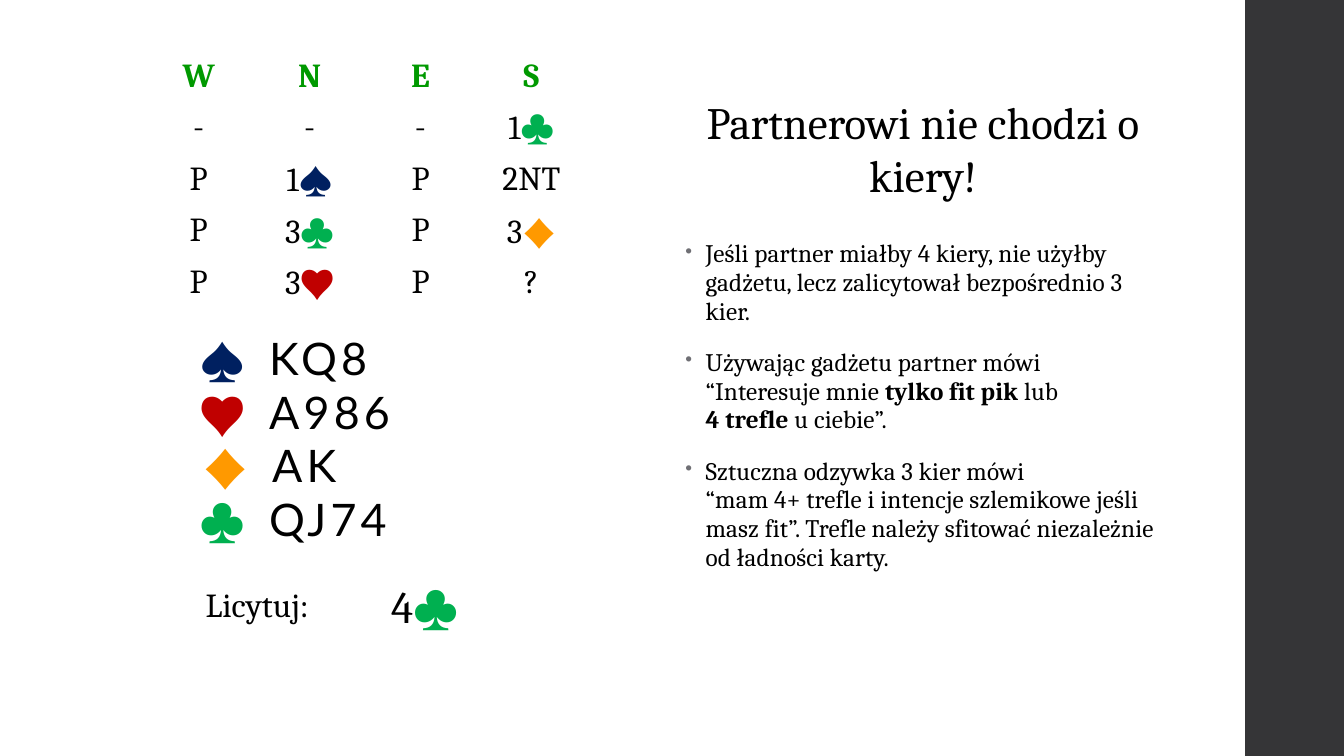
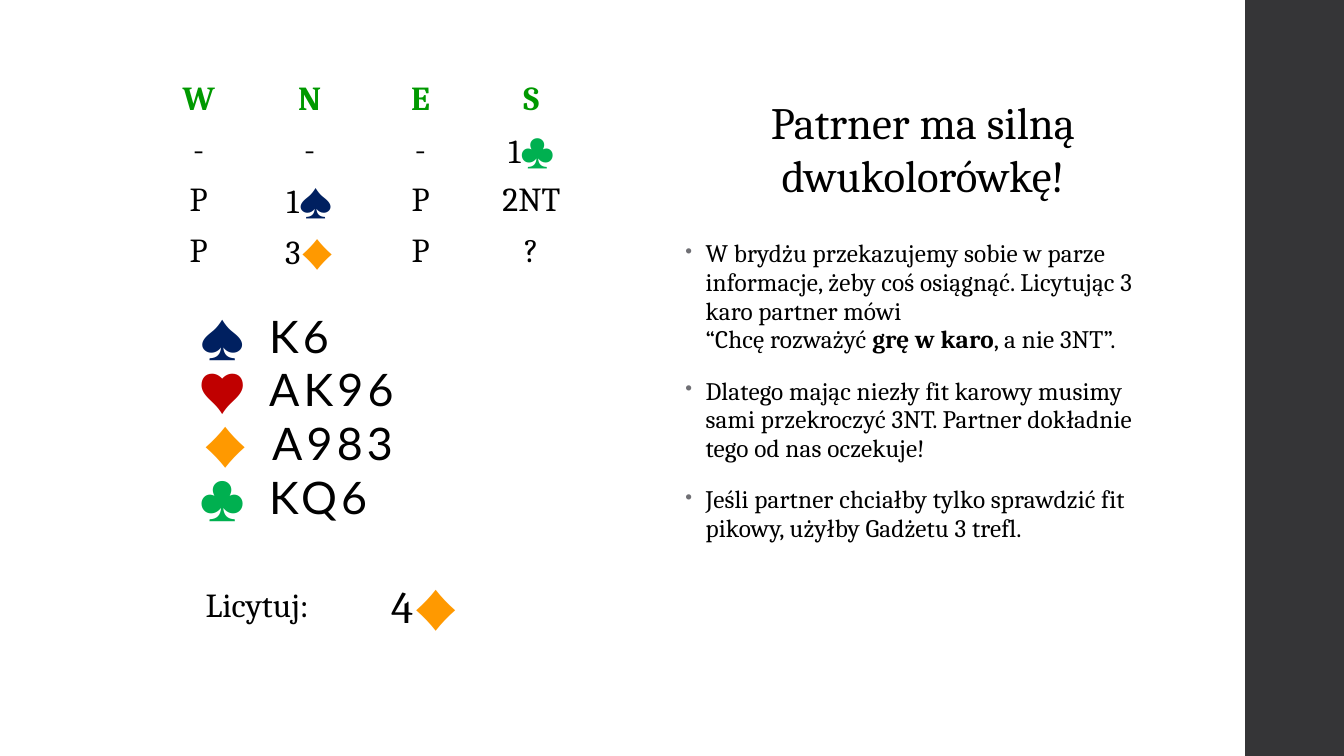
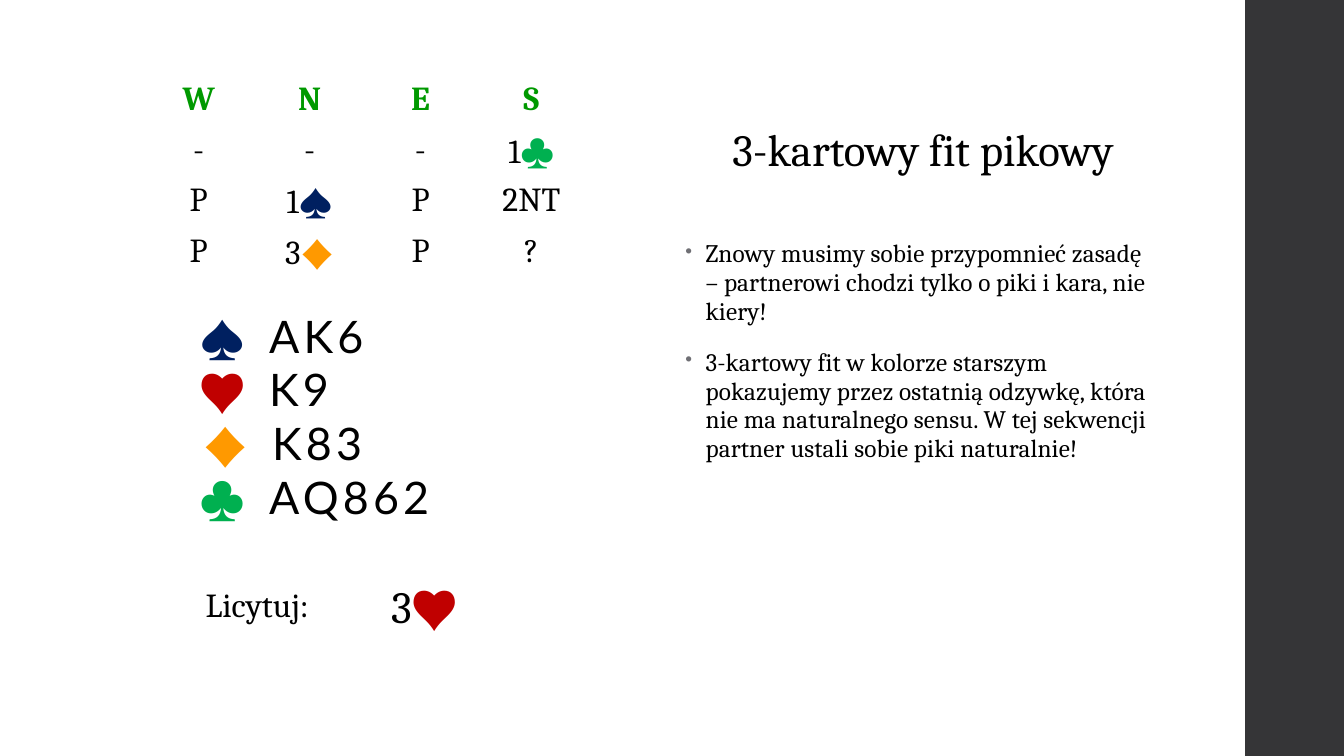
"""Build three bridge bidding slides: auction, hand, answer and explanation."""
from dataclasses import dataclass, replace

from lxml.etree import SubElement
from pptx import Presentation
from pptx.dml.color import RGBColor
from pptx.enum.shapes import MSO_SHAPE as Preset
from pptx.enum.text import MSO_ANCHOR as Anchor, PP_ALIGN as Align
from pptx.oxml.ns import qn
from pptx.slide import Slide
from pptx.table import Table, _Cell as Cell
from pptx.text.text import TextFrame, _Paragraph as Paragraph
from pptx.util import Inches, Pt

COLORS = {"band": "353537", "text": "000000", "seat": "009900", "bullet": "6F6F74",
          "♠": "002060", "♥": "C00000", "♦": "FF9900", "♣": "00B050"}
SUITS = "♠♥♦♣"
SEATS = ("W", "N", "E", "S")
OPENING = (SEATS, ("-", "-", "-", "1♣"), ("P", "1♠", "P", "2NT"))


@dataclass(frozen=True)
class Style:
    """Look of a run of text."""
    size: float
    face: str = "Cambria"
    color: str = "text"
    bold: bool = False
    spacing: float = 0


@dataclass(frozen=True)
class Part:
    """Piece of an explanation, which may be bold."""
    text: str
    bold: bool = False


@dataclass(frozen=True)
class Deal:
    """Content of one slide."""
    title: str
    auction: tuple[tuple[str, ...], ...]
    auction_top: float
    hand: tuple[str, ...]
    hand_top: float
    answer: str
    reasons: tuple[tuple[Part, ...], ...]


BID = Style(24)
SEAT = Style(24, color="seat", bold=True)
TITLE = Style(32)
ANSWER = Style(32)
REASON = Style(18, spacing=0.1)
CARDS = Style(32, face="Lato", spacing=3)

DEALS = (
    Deal("Partnerowi nie chodzi o kiery!",
         OPENING + (("P", "3♣", "P", "3♦"), ("P", "3♥", "P", "?")), 0.51,
         ("KQ8", "A986", "AK", "QJ74"), 3.23, "4♣",
         ((Part("Jeśli partner miałby 4 kiery, nie użyłby gadżetu, "
                "lecz zalicytował bezpośrednio 3 kier."),),
          (Part("Używając gadżetu partner mówi\n“Interesuje mnie "),
           Part("tylko fit pik ", True), Part("lub \n"),
           Part("4 trefle ", True), Part("u ciebie”.")),
          (Part("Sztuczna odzywka 3 kier mówi \n“mam 4+ trefle i intencje "
                "szlemikowe jeśli masz fit”. Trefle należy sfitować "
                "niezależnie od ładności karty."),))),
    Deal("Patrner ma silną dwukolorówkę!",
         OPENING + (("P", "3♦", "P", "?"),), 0.74,
         ("K6", "AK96", "A983", "KQ6"), 3.01, "4♦",
         ((Part("W brydżu przekazujemy sobie w parze informacje, żeby coś "
                "osiągnąć. Licytując 3 karo partner mówi\n“Chcę rozważyć "),
           Part("grę w karo", True), Part(", a nie 3NT”.")),
          (Part("Dlatego mając niezły fit karowy musimy sami przekroczyć 3NT. "
                "Partner dokładnie tego od nas oczekuje!"),),
          (Part("Jeśli partner chciałby tylko sprawdzić fit pikowy, "
                "użyłby Gadżetu 3 trefl."),))),
    Deal("3-kartowy fit pikowy",
         OPENING + (("P", "3♦", "P", "?"),), 0.74,
         ("AK6", "K9", "K83", "AQ862"), 3.01, "3♥",
         ((Part("Znowy musimy sobie przypomnieć zasadę – partnerowi chodzi "
                "tylko o piki i kara, nie kiery!"),),
          (Part("3-kartowy fit w kolorze starszym pokazujemy przez ostatnią "
                "odzywkę, która nie ma naturalnego sensu. W tej sekwencji "
                "partner ustali sobie piki naturalnie!"),))),
)


def rgb(key: str) -> RGBColor:
    """Return the named colour."""
    return RGBColor.from_string(COLORS[key])


def write(paragraph: Paragraph, text: str, style: Style) -> None:
    """Add text in one style, turning newlines into line breaks."""
    for index, line in enumerate(text.split("\n")):
        if index:
            paragraph.add_line_break()
        run = paragraph.add_run()
        run.text = line
        run.font.size = Pt(style.size)
        run.font.name = style.face
        run.font.bold = style.bold
        run.font.color.rgb = rgb(style.color)
        if style.spacing:
            run.font._element.set("spc", str(round(style.spacing * 100)))


def write_call(cell: Cell, call: str, style: Style, align: Align) -> None:
    """Fill a cell with a call, its suit symbol in the suit's colour."""
    cell.fill.background()
    cell.vertical_anchor = Anchor.MIDDLE
    paragraph = cell.text_frame.paragraphs[0]
    paragraph.alignment = align
    level = call.rstrip(SUITS)
    write(paragraph, level, style)
    suit = call[len(level):]
    if suit:
        write(paragraph, suit, replace(style, face="Lato", color=suit, spacing=3))


def add_plain_table(slide: Slide, left: float, top: float, widths: tuple[float, ...],
                    rows: int, row_height: float) -> Table:
    """Add a table without header or banding."""
    table = slide.shapes.add_table(rows, len(widths), Inches(left), Inches(top),
                                   Inches(sum(widths)), Inches(rows * row_height)).table
    table.first_row = table.horz_banding = False
    for column, width in zip(table.columns, widths):
        column.width = Inches(width)
    return table


def add_text(slide: Slide, left: float, top: float, width: float, height: float) -> TextFrame:
    """Add a wrapping text box."""
    frame = slide.shapes.add_textbox(Inches(left), Inches(top),
                                     Inches(width), Inches(height)).text_frame
    frame.word_wrap = True
    return frame


def next_paragraph(frame: TextFrame, index: int) -> Paragraph:
    """Return the first paragraph or a new one."""
    return frame.add_paragraph() if index else frame.paragraphs[0]


def add_band(slide: Slide) -> None:
    """Draw the dark band along the right edge."""
    band = slide.shapes.add_shape(Preset.RECTANGLE, Inches(12.35), 0, Inches(0.98), Inches(7.5))
    band.shadow.inherit = False
    band.fill.solid()
    band.fill.fore_color.rgb = rgb("band")
    band.line.fill.background()


def add_auction(slide: Slide, deal: Deal) -> None:
    """Add the bidding table."""
    table = add_plain_table(slide, 1.42, deal.auction_top, (1.1,) * len(SEATS),
                            len(deal.auction), 0.5)
    for row, calls in enumerate(deal.auction):
        for column, call in enumerate(calls):
            write_call(table.cell(row, column), call, BID if row else SEAT, Align.CENTER)


def add_hand(slide: Slide, deal: Deal) -> None:
    """List the cards held in each suit."""
    frame = add_text(slide, 1.87, deal.hand_top, 3.49, 2.26)
    for index, (suit, cards) in enumerate(zip(SUITS, deal.hand)):
        paragraph = next_paragraph(frame, index)
        properties = paragraph._p.get_or_add_pPr()
        if suit == "♦":
            properties.set("marL", str(Inches(0.03)))
        stops = SubElement(properties, qn("a:tabLst"))
        for position, side in ((0.5, "r"), (0.7, "l")):
            SubElement(stops, qn("a:tab"), pos=str(Inches(position)), algn=side)
        write(paragraph, "\t", replace(CARDS, size=28))
        write(paragraph, f"{suit}\t", replace(CARDS, color=suit))
        write(paragraph, cards, CARDS)


def add_answer(slide: Slide, deal: Deal) -> None:
    """Add the recommended call."""
    table = add_plain_table(slide, 1.32, 5.7, (2.46, 1.58), 1, 0.63)
    write_call(table.cell(0, 0), "Licytuj:", BID, Align.CENTER)
    write_call(table.cell(0, 1), deal.answer, ANSWER, Align.LEFT)


def add_title(slide: Slide, deal: Deal) -> None:
    """Add the centred title."""
    frame = add_text(slide, 6.7, 0.88, 4.91, 1.18)
    frame.vertical_anchor = Anchor.MIDDLE
    paragraph = frame.paragraphs[0]
    paragraph.alignment = Align.CENTER
    write(paragraph, deal.title, TITLE)


def add_reasons(slide: Slide, deal: Deal) -> None:
    """Add the bulleted explanation."""
    frame = add_text(slide, 6.7, 2.33, 4.9, 4.51)
    for index, parts in enumerate(deal.reasons):
        paragraph = next_paragraph(frame, index)
        properties = paragraph._p.get_or_add_pPr()
        properties.set("marL", str(Inches(0.2)))
        properties.set("indent", str(Inches(-0.2)))
        tint = SubElement(properties, qn("a:buClr"))
        SubElement(tint, qn("a:srgbClr"), val=COLORS["bullet"])
        SubElement(properties, qn("a:buSzPct"), val="80000")
        SubElement(properties, qn("a:buChar"), char="•")
        paragraph.line_spacing = 0.95
        paragraph.space_before = Pt(14 if index else 0)
        paragraph.space_after = Pt(2)
        for part in parts:
            write(paragraph, part.text, replace(REASON, bold=part.bold))


def main() -> None:
    """Build and save the presentation."""
    deck = Presentation()
    deck.slide_width = Inches(13.33)
    deck.slide_height = Inches(7.5)
    for deal in DEALS:
        slide = deck.slides.add_slide(deck.slide_layouts[6])
        add_band(slide)
        add_auction(slide, deal)
        add_reasons(slide, deal)
        add_hand(slide, deal)
        add_title(slide, deal)
        add_answer(slide, deal)
    deck.save("out.pptx")


if __name__ == "__main__":
    main()
